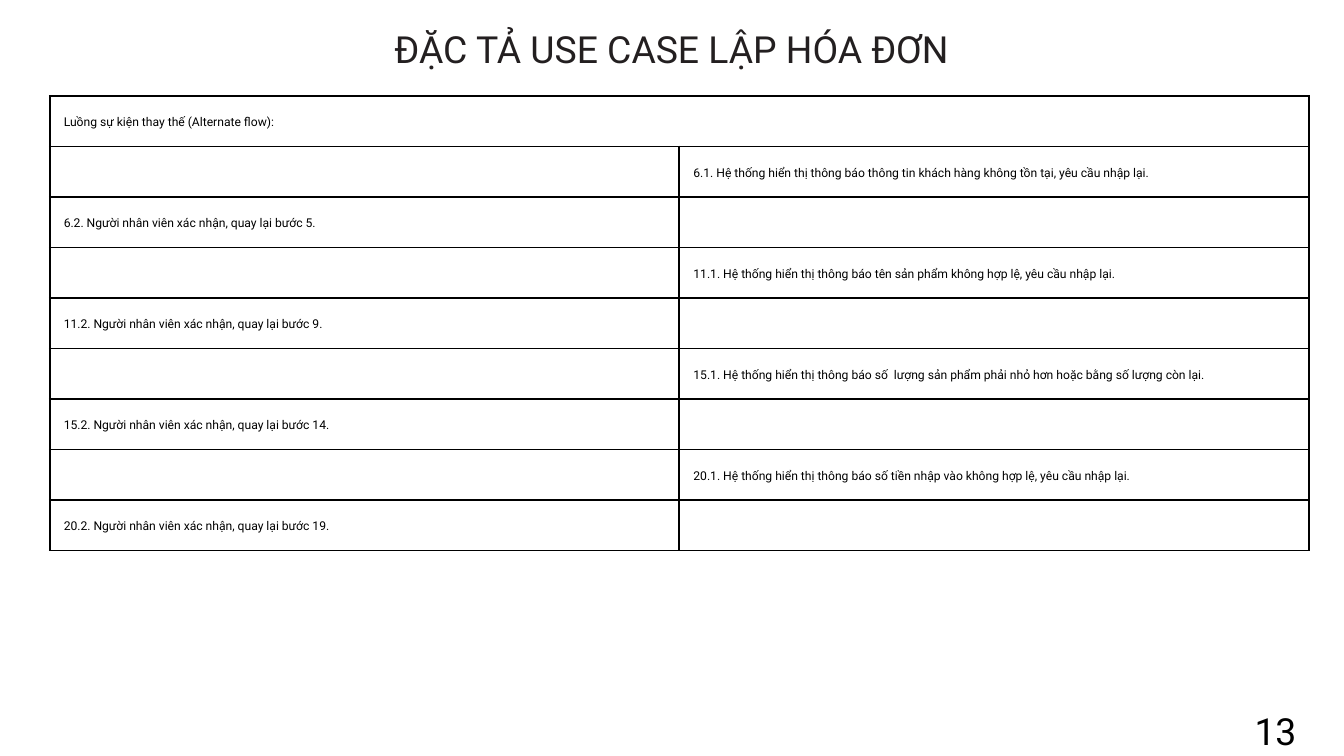
from lxml.etree import SubElement
from pptx import Presentation
from pptx.dml.color import RGBColor
from pptx.enum.text import MSO_ANCHOR, MSO_AUTO_SIZE, PP_ALIGN
from pptx.oxml.ns import qn
from pptx.util import Cm, Pt

FONT = "Roboto"
COLORS = {"title": "231F20", "text": "000000", "border": "000000", "page": "FFFFFF"}

# Each alternate flow: system message (right), then employee response (left)
ALTERNATE_FLOWS = [
    ("6.1. Hệ thống hiển thị thông báo thông tin khách hàng không tồn tại, yêu cầu nhập lại.",
     "6.2. Người nhân viên xác nhận, quay lại bước 5."),
    ("11.1. Hệ thống hiển thị thông báo tên sản phẩm không hợp lệ, yêu cầu nhập lại.",
     "11.2. Người nhân viên xác nhận, quay lại bước 9."),
    ("15.1. Hệ thống hiển thị thông báo số  lượng sản phẩm phải nhỏ hơn hoặc bằng số lượng còn lại.",
     "15.2. Người nhân viên xác nhận, quay lại bước 14."),
    ("20.1. Hệ thống hiển thị thông báo số tiền nhập vào không hợp lệ, yêu cầu nhập lại.",
     "20.2. Người nhân viên xác nhận, quay lại bước 19."),
]


def format_text(paragraph, size, color, line_spacing):
    paragraph.line_spacing = Pt(line_spacing)
    for run in paragraph.runs:
        run.font.name = FONT
        run.font.size = Pt(size)
        run.font.color.rgb = RGBColor.from_string(COLORS[color])


def add_text(slide, text, left, top, width, height, color, line_spacing, align):
    box = slide.shapes.add_textbox(Cm(left), Cm(top), Cm(width), Cm(height))
    frame = box.text_frame
    frame.word_wrap = True
    frame.auto_size = MSO_AUTO_SIZE.SHAPE_TO_FIT_TEXT
    frame.margin_left = frame.margin_right = frame.margin_top = frame.margin_bottom = 0
    paragraph = frame.paragraphs[0]
    paragraph.text = text
    paragraph.alignment = align
    format_text(paragraph, 40, color, line_spacing)


def add_borders(cell):
    properties = cell._tc.get_or_add_tcPr()
    for side in ("a:lnL", "a:lnR", "a:lnT", "a:lnB"):
        border = SubElement(properties, qn(side), w=str(Pt(2.25)))
        fill = SubElement(border, qn("a:solidFill"))
        SubElement(fill, qn("a:srgbClr"), val=COLORS["border"])


def fill_cell(cell, text):
    cell.vertical_anchor = MSO_ANCHOR.MIDDLE
    cell.margin_left = cell.margin_right = Cm(0.53)
    cell.margin_top = cell.margin_bottom = Cm(0.53)
    paragraph = cell.text_frame.paragraphs[0]
    if text:
        paragraph.text = text
    format_text(paragraph, 13, "text", 18.2)
    # Borders come before the fill in the cell properties
    add_borders(cell)
    cell.fill.background()


def add_flow_table(slide):
    rows = [("Luồng sự kiện thay thế (Alternate flow):", "")]
    for message, response in ALTERNATE_FLOWS:
        rows += [("", message), (response, "")]

    frame = slide.shapes.add_table(len(rows), 2, Cm(1.88), Cm(3.63),
                                   Cm(47.6), Cm(1.91 * len(rows)))
    table = frame.table
    table.first_row = table.horz_banding = False
    for row_index, row in enumerate(rows):
        for column_index, text in enumerate(row):
            fill_cell(table.cell(row_index, column_index), text)
    table.cell(0, 0).merge(table.cell(0, 1))


def main():
    deck = Presentation()
    deck.slide_width, deck.slide_height = Cm(50.8), Cm(28.58)
    slide = deck.slides.add_slide(deck.slide_layouts[6])
    background = slide.background.fill
    background.solid()
    background.fore_color.rgb = RGBColor.from_string(COLORS["page"])

    # Alternate flow table
    add_flow_table(slide)

    # Title and page number
    add_text(slide, "ĐẶC TẢ USE CASE LẬP HÓA ĐƠN", 4.01, 0.71, 42.75, 1.85,
             "title", 56, PP_ALIGN.CENTER)
    add_text(slide, "13", 47.42, 26.97, 1.7, 1.52, "text", 42, PP_ALIGN.LEFT)

    deck.save("out.pptx")


if __name__ == "__main__":
    main()
